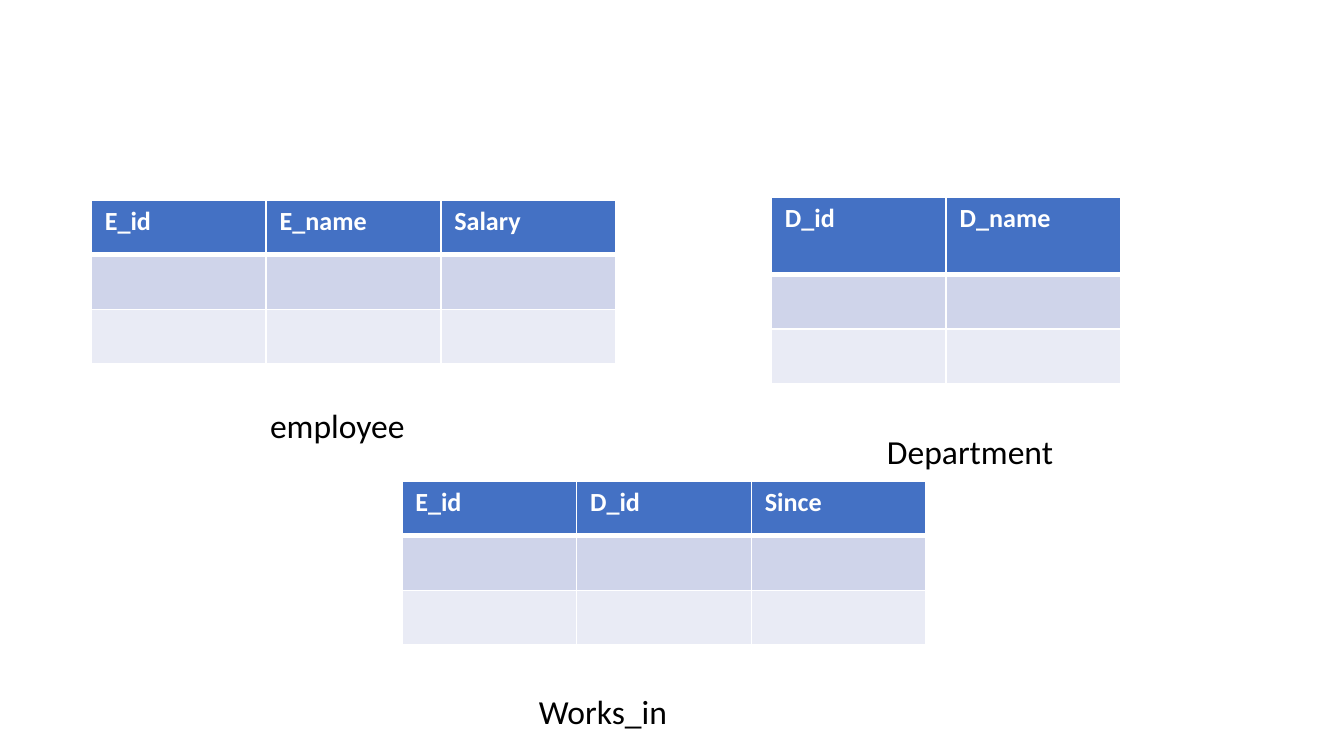
from lxml import etree
from pptx import Presentation
from pptx import util as u
from pptx.dml.color import RGBColor
from pptx.oxml import ns

COLORS = {
    "header": "4471C4",
    "odd_row": "CFD4EA",
    "even_row": "E9EBF5",
    "white": "FFFFFF",
    "black": "000000",
}
FONT = "Calibri"
SLIDE_WIDTH = 10
COLUMN_WIDTH = 1.3
ROW_HEIGHT = 1.22 / 3
THIN, THICK = 1, 3


def color(name):
    return RGBColor.from_string(COLORS[name])


def format_text(paragraph, size, color_name, space_before, bold=False):
    paragraph.space_before = u.Pt(space_before)
    for run in paragraph.runs:
        run.font.name = FONT
        run.font.size = u.Pt(size)
        run.font.bold = bold
        run.font.color.rgb = color(color_name)


def add_borders(cell, top, bottom):
    properties = cell._tc.get_or_add_tcPr()
    widths = {"a:lnL": THIN, "a:lnR": THIN, "a:lnT": top, "a:lnB": bottom}
    for tag, width in widths.items():
        line = etree.SubElement(properties, ns.qn(tag), w=str(u.Pt(width)))
        fill = etree.SubElement(line, ns.qn("a:solidFill"))
        etree.SubElement(fill, ns.qn("a:srgbClr"), val=COLORS["white"])


def add_relation(slide, left, top, fields, header_height=ROW_HEIGHT):
    """Table with a header of field names and two empty records."""
    heights = [header_height, ROW_HEIGHT, ROW_HEIGHT]
    fills = ["header", "odd_row", "even_row"]
    borders = [(THIN, THICK), (THICK, THIN), (THIN, THIN)]
    relation = slide.shapes.add_table(
        len(heights), len(fields), u.Inches(left), u.Inches(top),
        u.Inches(COLUMN_WIDTH * len(fields)), u.Inches(sum(heights))).table
    for column in relation.columns:
        column.width = u.Inches(COLUMN_WIDTH)

    for row, height, fill, border in zip(relation.rows, heights, fills, borders):
        row.height = u.Inches(height)
        for cell in row.cells:
            cell.margin_left = u.Inches(0.1)
            cell.margin_top = u.Inches(0.04)
            cell.margin_right = cell.margin_bottom = 0
            add_borders(cell, *border)
            cell.fill.solid()
            cell.fill.fore_color.rgb = color(fill)

    for cell, field in zip(relation.rows[0].cells, fields):
        cell.text_frame.text = field
        format_text(cell.text_frame.paragraphs[0], 14, "white", 2.7, bold=True)


def add_caption(slide, left, top, width, name):
    frame = slide.shapes.add_textbox(
        u.Inches(left), u.Inches(top), u.Inches(width), u.Inches(0.33)).text_frame
    frame.word_wrap = True
    frame.margin_left = frame.margin_top = u.Inches(0.01)
    frame.margin_right = frame.margin_bottom = 0
    frame.text = name
    format_text(frame.paragraphs[0], 18, "black", 1)


def main():
    presentation = Presentation()
    presentation.slide_width = u.Inches(SLIDE_WIDTH)
    presentation.slide_height = u.Inches(SLIDE_WIDTH * 9 / 16)
    slide = presentation.slides.add_slide(presentation.slide_layouts[6])

    # Relations
    add_relation(slide, 0.68, 1.49, ["E_id", "E_name", "Salary"])
    add_relation(slide, 2.99, 3.58, ["E_id", "D_id", "Since"])
    add_relation(slide, 5.74, 1.47, ["D_id", "D_name"], header_height=0.57)

    # Relation names
    add_caption(slide, 2, 3, 1.03, "employee")
    add_caption(slide, 6.59, 3.2, 1.27, "Department")
    add_caption(slide, 4, 5.13, 0.98, "Works_in")

    presentation.save("out.pptx")


if __name__ == "__main__":
    main()
